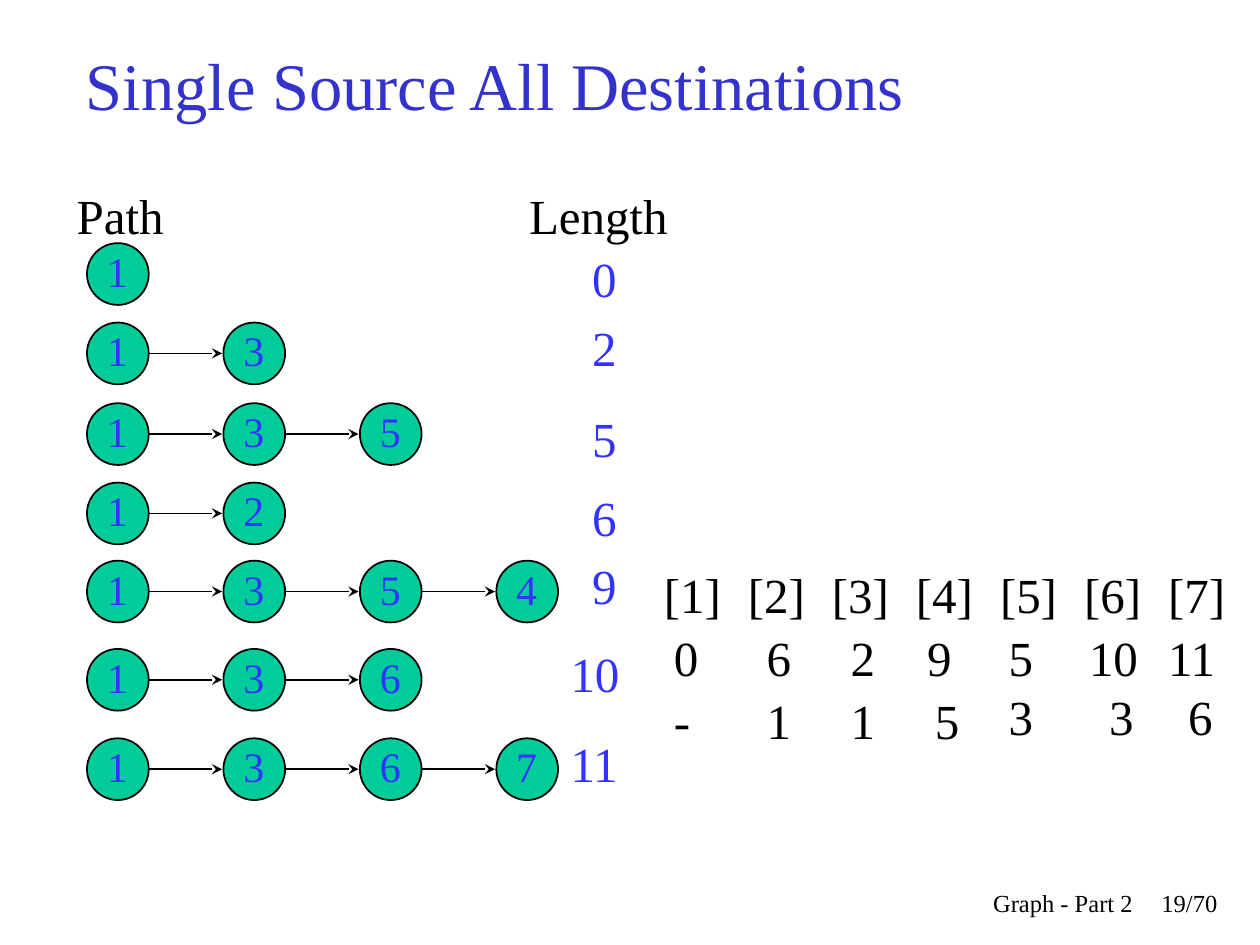
import pptx
import pptx.dml.color
import pptx.enum.shapes
import pptx.enum.text
import pptx.oxml
import pptx.oxml.ns
import pptx.util

Inches = pptx.util.Inches
RGBColor = pptx.dml.color.RGBColor
MSO_SHAPE = pptx.enum.shapes.MSO_SHAPE
MSO_ANCHOR = pptx.enum.text.MSO_ANCHOR
PP_ALIGN = pptx.enum.text.PP_ALIGN

FONT = "Times New Roman"
BLACK = RGBColor(0x00, 0x00, 0x00)
WHITE = RGBColor(0xFF, 0xFF, 0xFF)
TITLE_BLUE = RGBColor(0x33, 0x33, 0xCC)
LABEL_BLUE = RGBColor(0x33, 0x33, 0xFF)
NODE_GREEN = RGBColor(0x00, 0xCC, 0x99)

NODE_SIZE = 0.49
NODE_STEP = 1.083
ROW_HEIGHT = 0.57
COLUMN_STEP = 0.667

# Node top, nodes on the path, length, top of the length label
PATHS = [
    (1.93, "1", "0", 1.92),
    (2.56, "13", "2", 2.47),
    (3.20, "135", "5", 3.19),
    (3.83, "12", "6", 3.82),
    (4.45, "1354", "9", 4.36),
    (5.15, "136", "10", 5.06),
    (5.86, "1367", "11", 5.77),
]

# Distance (text, offset, width), then predecessor (text, offset, drop);
# offsets are from the left of the column, drops from the top of the table
COLUMNS = [
    (("0", 0.08, 0.46), ("-", 0.08, 1.00)),
    (("6", 0.15, 0.46), ("1", 0.15, 1.00)),
    (("2", 0.15, 0.46), ("1", 0.15, 1.00)),
    (("9", 0.09, 0.67), ("5", 0.15, 1.00)),
    (("5", 0.07, 0.46), ("3", 0.07, 0.97)),
    (("10", 0.04, 0.66), ("3", 0.20, 0.97)),
    (("11", 0.00, 0.66), ("6", 0.16, 0.97)),
]


def write_text(shape, text, size=28, color=BLACK, align=PP_ALIGN.LEFT,
               anchor=MSO_ANCHOR.TOP, wrap=True):
    frame = shape.text_frame
    frame.word_wrap = wrap
    frame.vertical_anchor = anchor
    paragraph = frame.paragraphs[0]
    paragraph.text = text
    paragraph.alignment = align
    paragraph.font.name = FONT
    paragraph.font.size = pptx.util.Pt(size)
    paragraph.font.color.rgb = color


def add_label(slide, left, top, width, height, text, **text_format):
    box = slide.shapes.add_textbox(
        Inches(left), Inches(top), Inches(width), Inches(height))
    write_text(box, text, **text_format)


def add_outlined(slide, kind, left, top, width, height, fill, line, weight):
    shape = slide.shapes.add_shape(
        kind, Inches(left), Inches(top), Inches(width), Inches(height))
    shape.shadow.inherit = False
    shape.fill.solid()
    shape.fill.fore_color.rgb = fill
    shape.line.color.rgb = line
    shape.line.width = pptx.util.Pt(weight)
    return shape


def add_arrow(slide, start, end, y):
    arrow = slide.shapes.add_connector(
        pptx.enum.shapes.MSO_CONNECTOR.STRAIGHT,
        Inches(start), Inches(y), Inches(end), Inches(y))
    arrow.line.color.rgb = BLACK
    arrow.line.width = pptx.util.Pt(1)
    line = arrow.line._get_or_add_ln()
    line.append(pptx.oxml.parse_xml(
        '<a:tailEnd %s type="stealth"/>' % pptx.oxml.ns.nsdecls("a")))
    arrow._element.spPr.append(pptx.oxml.parse_xml(
        "<a:effectLst %s/>" % pptx.oxml.ns.nsdecls("a")))


def add_path(slide, left, top, nodes):
    for index, node in enumerate(nodes):
        x = left + index * NODE_STEP
        add_outlined(slide, MSO_SHAPE.OVAL, x, top, NODE_SIZE, NODE_SIZE,
                     NODE_GREEN, BLACK, 1)
        add_label(slide, x + 0.06, top - 0.03, 0.37, 0.5, node,
                  size=24, color=LABEL_BLUE, wrap=False)
        if index:
            add_arrow(slide, x - NODE_STEP + NODE_SIZE, x - 0.01,
                      top + NODE_SIZE / 2)


def add_path_list(slide, left, top):
    add_label(slide, left, top, 0.92, ROW_HEIGHT, "Path")
    add_label(slide, left + 3.59, top, 1.42, ROW_HEIGHT, "Length")
    for node_top, nodes, length, length_top in PATHS:
        add_path(slide, left + 0.18, node_top, nodes)
        offset, width = (4.09, 0.42) if len(length) == 1 else (3.92, 0.67)
        add_label(slide, left + offset, length_top, width, ROW_HEIGHT,
                  length, color=LABEL_BLUE)


def add_cell(slide, left, top, width, text):
    cell = add_outlined(slide, MSO_SHAPE.RECTANGLE, left, top, width,
                        ROW_HEIGHT, WHITE, WHITE, 0.75)
    write_text(cell, text)


def add_distance_array(slide, left, top):
    """Place the index row, then each column's distance and predecessor."""
    lefts = [left + index * COLUMN_STEP for index in range(len(COLUMNS))]
    for number, x in enumerate(lefts, start=1):
        add_cell(slide, x, top, 0.68, f"[{number}]")
    for x, (distance, predecessor) in zip(lefts, COLUMNS):
        text, offset, width = distance
        add_cell(slide, x + offset, top + 0.5, width, text)
        text, offset, drop = predecessor
        add_cell(slide, x + offset, top + drop, 0.46, text)


def add_title(slide, left, top, width, height):
    title = slide.shapes.title
    title.left, title.top = Inches(left), Inches(top)
    title.width, title.height = Inches(width), Inches(height)
    write_text(title, "Single Source All Destinations", size=38,
               color=TITLE_BLUE, anchor=MSO_ANCHOR.MIDDLE)


def add_footer(slide, left, top):
    add_label(slide, left, top, 3.17, 0.5, "Graph - Part 2",
              size=14, align=PP_ALIGN.RIGHT)
    add_label(slide, left + 3.16, top, 0.68, 0.5, "19/70",
              size=14, align=PP_ALIGN.RIGHT)


def main():
    presentation = pptx.Presentation()
    presentation.slide_width = Inches(10)
    presentation.slide_height = Inches(7.5)
    slide = presentation.slides.add_slide(presentation.slide_layouts[5])
    add_title(slide, 0.58, 0.13, 9.42, 1.07)
    add_path_list(slide, 0.51, 1.42)
    add_distance_array(slide, 5.17, 4.43)
    add_footer(slide, 5.92, 7)
    presentation.save("out.pptx")


if __name__ == "__main__":
    main()
